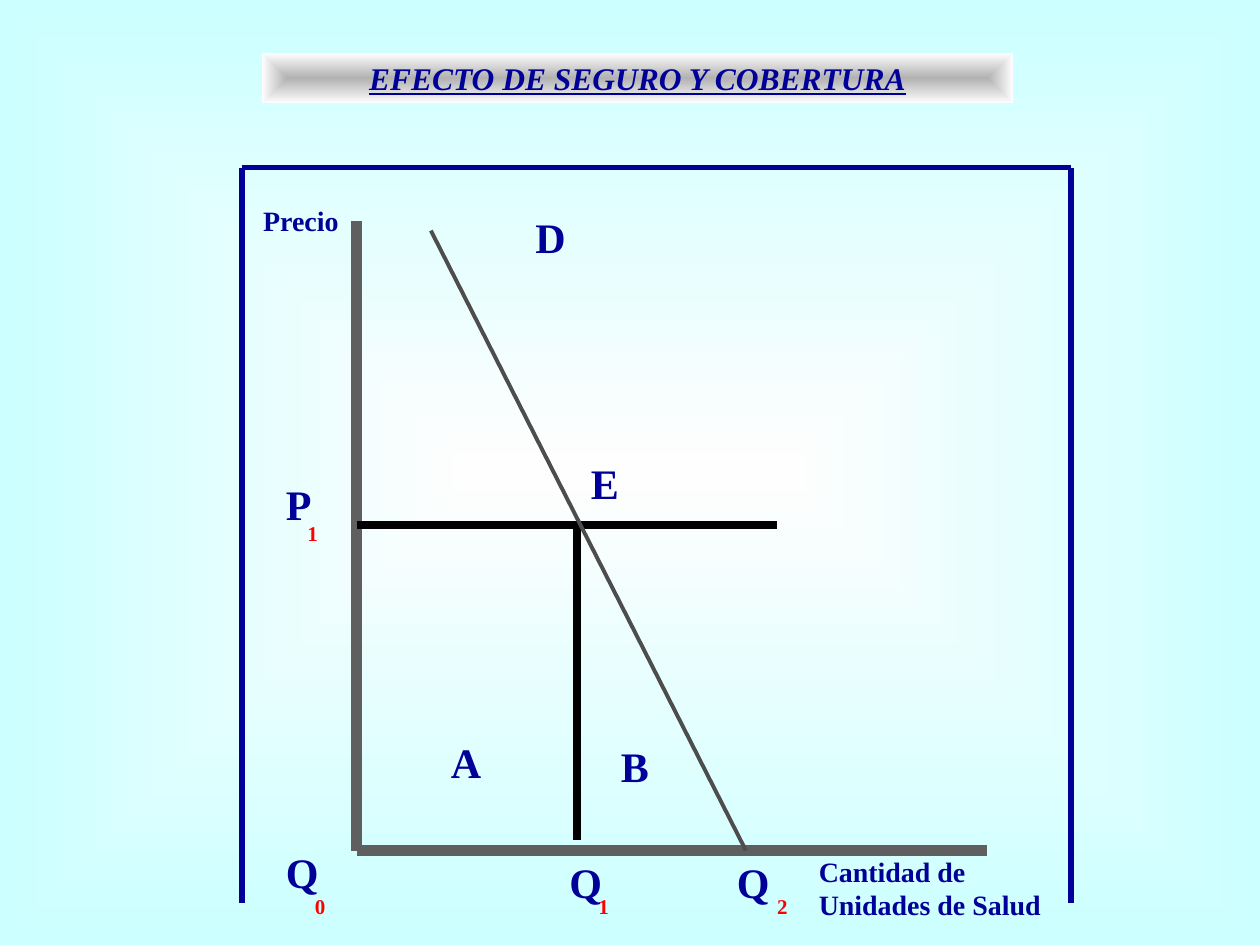
"""Build the slide on the effect of insurance and coverage on demand."""
from lxml.etree import SubElement
from pptx import Presentation
from pptx.dml.color import RGBColor
from pptx.enum.shapes import MSO_CONNECTOR
from pptx.enum.text import MSO_ANCHOR, MSO_AUTO_SIZE, PP_ALIGN
from pptx.oxml import parse_xml
from pptx.oxml.ns import nsdecls, qn
from pptx.util import Inches, Pt

NAVY = RGBColor(0x00, 0x00, 0x99)
RED = RGBColor(0xFF, 0x00, 0x00)
BLACK = RGBColor(0x00, 0x00, 0x00)
AXIS_GRAY = RGBColor(0x5F, 0x5F, 0x5F)
DEMAND_GRAY = RGBColor(0x4D, 0x4D, 0x4D)
SILVER = RGBColor(0xB2, 0xB2, 0xB2)
WHITE = RGBColor(0xFE, 0xFE, 0xFE)
CYAN = RGBColor(0xCC, 0xFF, 0xFF)


def write(frame, text, size=24, color=NAVY, align=PP_ALIGN.LEFT, italic=False, underline=False):
    frame.text = text
    for para in frame.paragraphs:
        para.alignment = align
        font = para.runs[0].font
        font.name = "Times New Roman"
        font.size = Pt(size)
        font.color.rgb = color
        font.bold = True
        font.italic = italic
        font.underline = underline


def blend(fill, center, edge):
    fill.gradient()
    for stop, color in zip(fill.gradient_stops, (center, edge)):
        stop.color.rgb = color


deck = Presentation()
deck.slide_width = Inches(10)
deck.slide_height = Inches(7.5)
page = deck.slides.add_slide(deck.slide_layouts[5])

title = page.shapes.title
title.left, title.top = Inches(2.08), Inches(0.42)
title.width, title.height = Inches(5.96), Inches(0.4)
write(title.text_frame, "EFECTO DE SEGURO Y COBERTURA", size=18,
      align=PP_ALIGN.CENTER, italic=True, underline=True)
title.text_frame.auto_size = MSO_AUTO_SIZE.NONE
title.text_frame.vertical_anchor = MSO_ANCHOR.MIDDLE

blend(page.background.fill, WHITE, CYAN)
blend(title.fill, SILVER, WHITE)
for linear in list(page.element.iter(qn("a:lin"))):
    linear.getparent().replace(linear, parse_xml(
        f'<a:path {nsdecls("a")} path="rect">'
        '<a:fillToRect l="50000" t="50000" r="50000" b="50000"/></a:path>'))

FRAME_LEFT, FRAME_RIGHT, FRAME_TOP, FRAME_BOTTOM = 1.92, 8.5, 1.33, 7.17
ORIGIN_X, ORIGIN_Y = 2.83, 6.75
QUANTITY, PRICE = 4.58, 4.17

lines = [
    (FRAME_LEFT, FRAME_TOP, FRAME_LEFT, FRAME_BOTTOM, NAVY, 3),
    (FRAME_RIGHT, FRAME_TOP, FRAME_RIGHT, FRAME_BOTTOM, NAVY, 3),
    (FRAME_LEFT, FRAME_TOP, FRAME_RIGHT, FRAME_TOP, NAVY, 3),
    (ORIGIN_X, 1.75, ORIGIN_X, ORIGIN_Y, AXIS_GRAY, 6),
    (ORIGIN_X, ORIGIN_Y, 7.83, ORIGIN_Y, AXIS_GRAY, 6),
    (ORIGIN_X, PRICE, 6.17, PRICE, BLACK, 4.5),
    (QUANTITY, PRICE, QUANTITY, 6.67, BLACK, 4.5),
    (3.42, 1.83, 5.92, ORIGIN_Y, DEMAND_GRAY, 2.25),
]
for x1, y1, x2, y2, color, width in lines:
    line = page.shapes.add_connector(
        MSO_CONNECTOR.STRAIGHT, Inches(x1), Inches(y1), Inches(x2), Inches(y2))
    line.line.color.rgb = color
    line.line.width = Pt(width)
    SubElement(line.element.spPr, qn("a:effectLst"))

labels = [
    ("Precio", 1.99, 1.57, 0.86, 0.37, 16, NAVY),
    ("D", 4.15, 1.63, 0.44, 0.5, 24, NAVY),
    ("E", 4.59, 3.58, 0.42, 0.5, 24, NAVY),
    ("P", 2.17, 3.75, 0.4, 0.5, 24, NAVY),
    ("A", 3.48, 5.8, 0.44, 0.5, 24, NAVY),
    ("B", 4.83, 5.83, 0.49, 0.5, 24, NAVY),
    ("1", 2.34, 4.08, 0.28, 0.3, 12, RED),
    ("Q", 2.17, 6.67, 0.46, 0.5, 24, NAVY),
    ("0", 2.4, 7.04, 0.28, 0.3, 12, RED),
    ("Q", 4.42, 6.75, 0.46, 0.5, 24, NAVY),
    ("1", 4.65, 7.04, 0.28, 0.3, 12, RED),
    ("Q", 5.75, 6.75, 0.46, 0.5, 24, NAVY),
    ("2", 6.07, 7.04, 0.28, 0.3, 12, RED),
    ("Cantidad de\nUnidades de Salud", 6.4, 6.73, 1.96, 0.64, 16, NAVY),
]
for text, left, top, width, height, size, color in labels:
    box = page.shapes.add_textbox(Inches(left), Inches(top), Inches(width), Inches(height))
    box.text_frame.word_wrap = text == "B"
    box.text_frame.auto_size = MSO_AUTO_SIZE.SHAPE_TO_FIT_TEXT
    write(box.text_frame, text, size=size, color=color)

deck.save("out.pptx")
